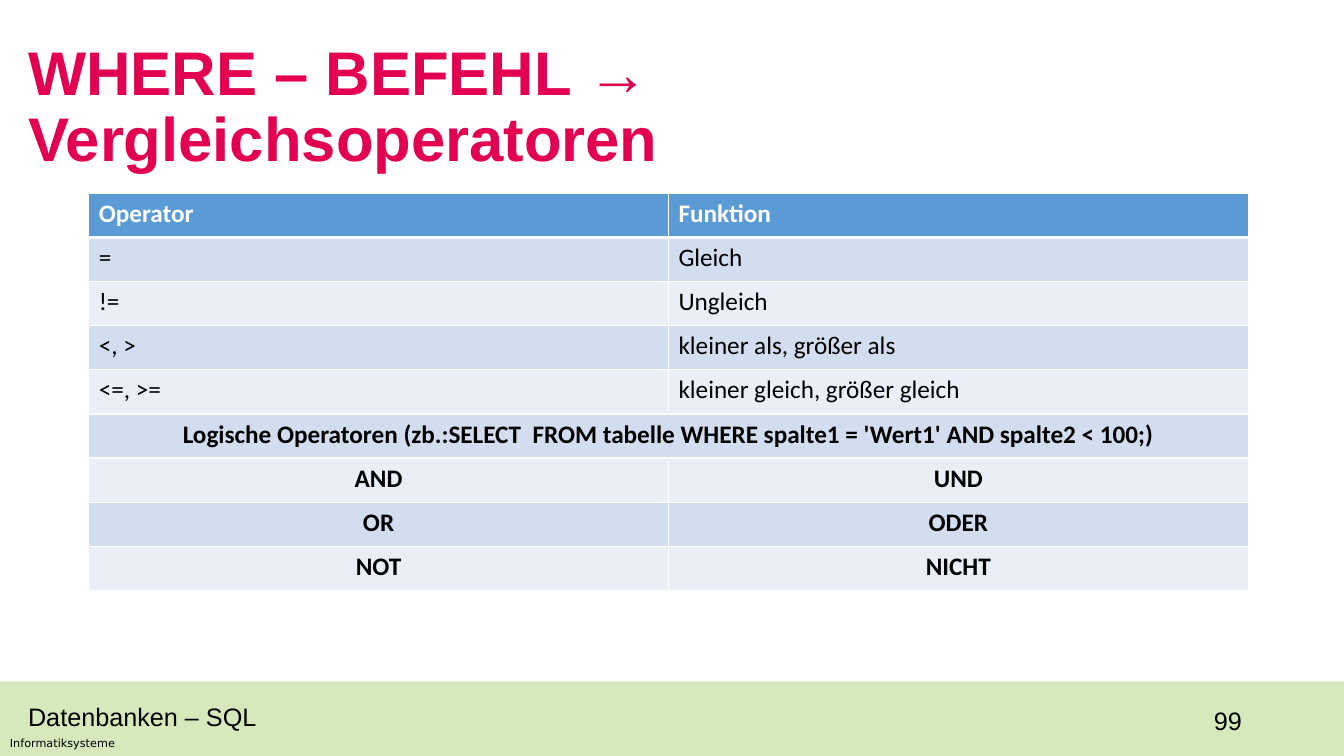
from dataclasses import dataclass

from lxml.etree import SubElement
from pptx import Presentation
from pptx.dml.color import RGBColor as Rgb
from pptx.enum.shapes import MSO_SHAPE as Shape
from pptx.enum.text import MSO_ANCHOR as Anchor, PP_ALIGN as Align
from pptx.oxml import parse_xml
from pptx.oxml.ns import nsdecls, qn
from pptx.util import Inches, Pt

WIDTH, HEIGHT = Inches(13.33), Inches(7.5)


@dataclass(frozen=True)
class Theme:
    """Colours, fonts and type sizes of the slide."""
    title: str = "E30051"
    ink: str = "000000"
    white: str = "FFFFFF"
    footer: str = "76B727"
    footer_opacity: int = 30
    header: str = "5B9BD5"
    bands: tuple = ("D2DEEF", "EAEFF7")
    font: str = "Arial"
    table_font: str = "Calibri"
    label_font: str = "DejaVu Sans"
    title_size: int = 44
    text_size: int = 18
    label_size: int = 8
    rule: int = 1
    header_rule: int = 3


THEME = Theme()

COMPARISONS = [
    ("=", "Gleich"),
    ("!=", "Ungleich"),
    ("<, >", "kleiner als, größer als"),
    ("<=, >=", "kleiner gleich, größer gleich"),
]
LOGIC_HEADING = ("Logische Operatoren (zb.:SELECT  FROM tabelle WHERE "
                 "spalte1 = 'Wert1' AND spalte2 < 100;)")
LOGIC = [("AND", "UND"), ("OR", "ODER"), ("NOT", "NICHT")]


def place(left, top, width, height):
    """Turn percentages of the slide into lengths."""
    return [int(share * side / 100) for share, side in
            zip((left, top, width, height), (WIDTH, HEIGHT) * 2)]


def write(frame, text, size, font=THEME.font, color=THEME.ink, bold=False, align=None):
    """Write one styled paragraph into a text frame."""
    paragraph = frame.paragraphs[0]
    paragraph.text = text
    paragraph.alignment = align
    paragraph.font.size = Pt(size)
    paragraph.font.name = font
    paragraph.font.bold = bold
    paragraph.font.color.rgb = Rgb.from_string(color)
    return paragraph


def add_text(slide, area, text, size, **style):
    """Add a wrapping text box and return its frame."""
    frame = slide.shapes.add_textbox(*place(*area)).text_frame
    frame.word_wrap = True
    write(frame, text, size, **style)
    return frame


def add_title(slide, text):
    """Add the slide heading, centred vertically."""
    frame = add_text(slide, (1.35, 4.67, 86.27, 19.33), text, THEME.title_size,
                     color=THEME.title, bold=True)
    frame.vertical_anchor = Anchor.MIDDLE
    frame.paragraphs[0].line_spacing = 0.9


def add_footer(slide, topic, course, number):
    """Add the translucent footer band and its three texts."""
    band = slide.shapes.add_shape(Shape.RECTANGLE, *place(-0.83, 90.13, 101.5, 11.2))
    band.shadow.inherit = False
    band.line.fill.background()
    band.fill.solid()
    band.fill.fore_color.rgb = Rgb.from_string(THEME.footer)
    tint = band.fill._xPr.find(qn("a:solidFill"))[0]
    SubElement(tint, qn("a:alpha"), val=str(THEME.footer_opacity * 1000))
    add_text(slide, (89.57, 92.67, 6.75, 5.33), number, THEME.text_size)
    add_text(slide, (0, 96.8, 14.1, 3.2), course, THEME.label_size,
             font=THEME.label_font)
    add_text(slide, (1.35, 92.13, 54.69, 5.33), topic, THEME.text_size)


def add_borders(cell, widths):
    """Draw white borders on the given sides of a cell."""
    for index, (side, width) in enumerate(widths.items()):
        border = parse_xml(
            f'<a:ln{side} {nsdecls("a")} w="{Pt(width)}"><a:solidFill>'
            f'<a:srgbClr val="{THEME.white}"/></a:solidFill></a:ln{side}>')
        cell._tc.get_or_add_tcPr().insert(index, border)


def fill_cell(cell, text, row, align, bold):
    """Style one cell by its row and write its text."""
    is_header = row == 0
    cell.fill.solid()
    cell.fill.fore_color.rgb = Rgb.from_string(
        THEME.header if is_header else THEME.bands[(row - 1) % 2])
    top = THEME.header_rule if row == 1 else THEME.rule
    bottom = THEME.header_rule if is_header else THEME.rule
    add_borders(cell, {"L": THEME.rule, "R": THEME.rule, "T": top, "B": bottom})
    write(cell.text_frame, text, THEME.text_size, font=THEME.table_font,
          color=THEME.white if is_header else THEME.ink, bold=bold, align=align)


def add_operators(slide):
    """Add the table of comparison and logical operators."""
    rows = [("Operator", "Funktion"), *COMPARISONS, (LOGIC_HEADING, ""), *LOGIC]
    heading_row = len(COMPARISONS) + 1
    operators = slide.shapes.add_table(
        len(rows), 2, *place(6.6, 25.6, 86.27, 52.53)).table
    for row, texts in enumerate(rows):
        is_logic = row >= heading_row
        for column, text in enumerate(texts):
            fill_cell(operators.cell(row, column), text, row,
                      Align.CENTER if is_logic else None, is_logic or row == 0)
    operators.cell(heading_row, 0).merge(operators.cell(heading_row, 1))


def main():
    """Build and save the slide."""
    deck = Presentation()
    deck.slide_width, deck.slide_height = WIDTH, HEIGHT
    slide = deck.slides.add_slide(deck.slide_layouts[6])
    add_footer(slide, "Datenbanken – SQL", "Informatiksysteme", "99")
    add_title(slide, "WHERE – BEFEHL → Vergleichsoperatoren")
    add_operators(slide)
    deck.save("out.pptx")


if __name__ == "__main__":
    main()
